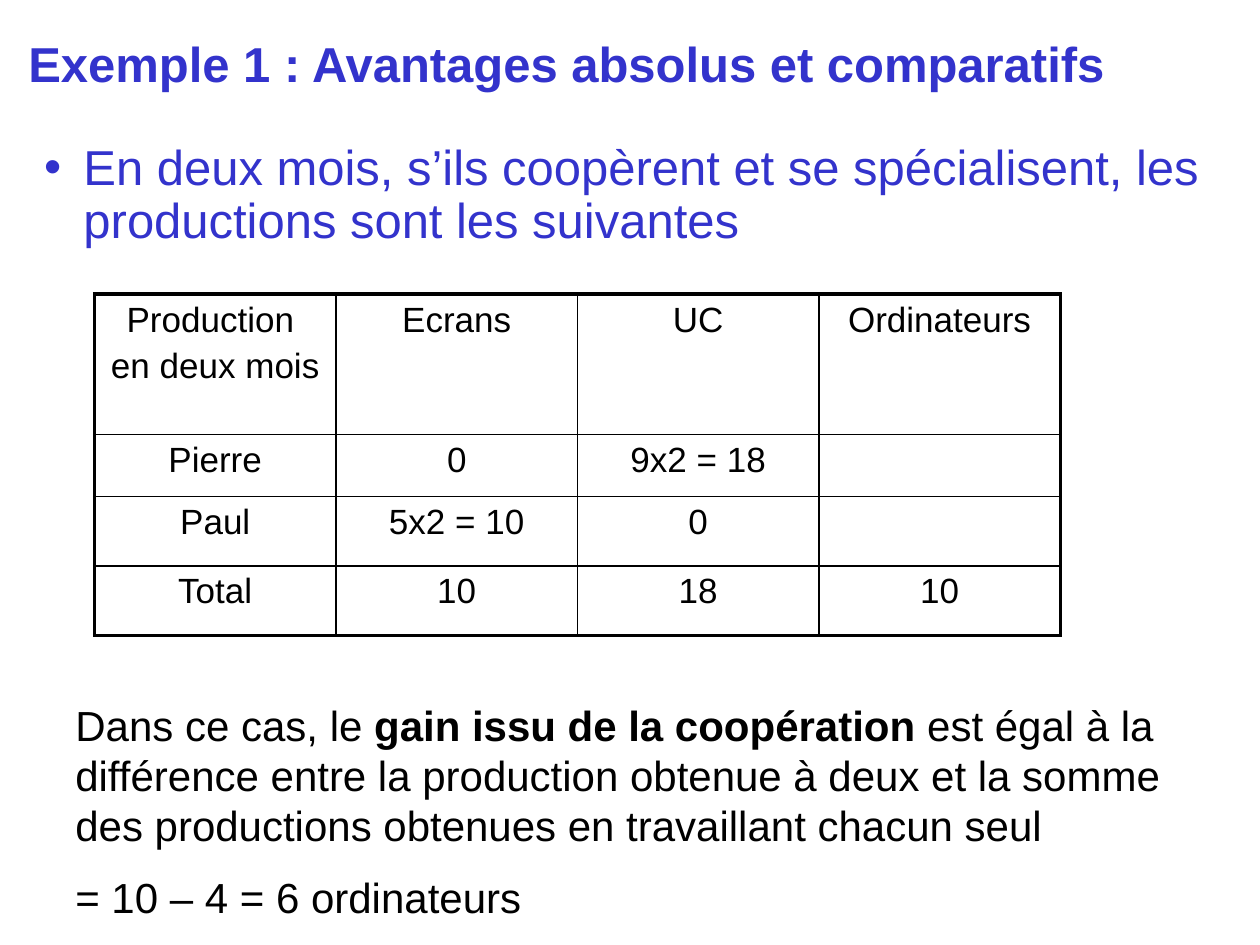
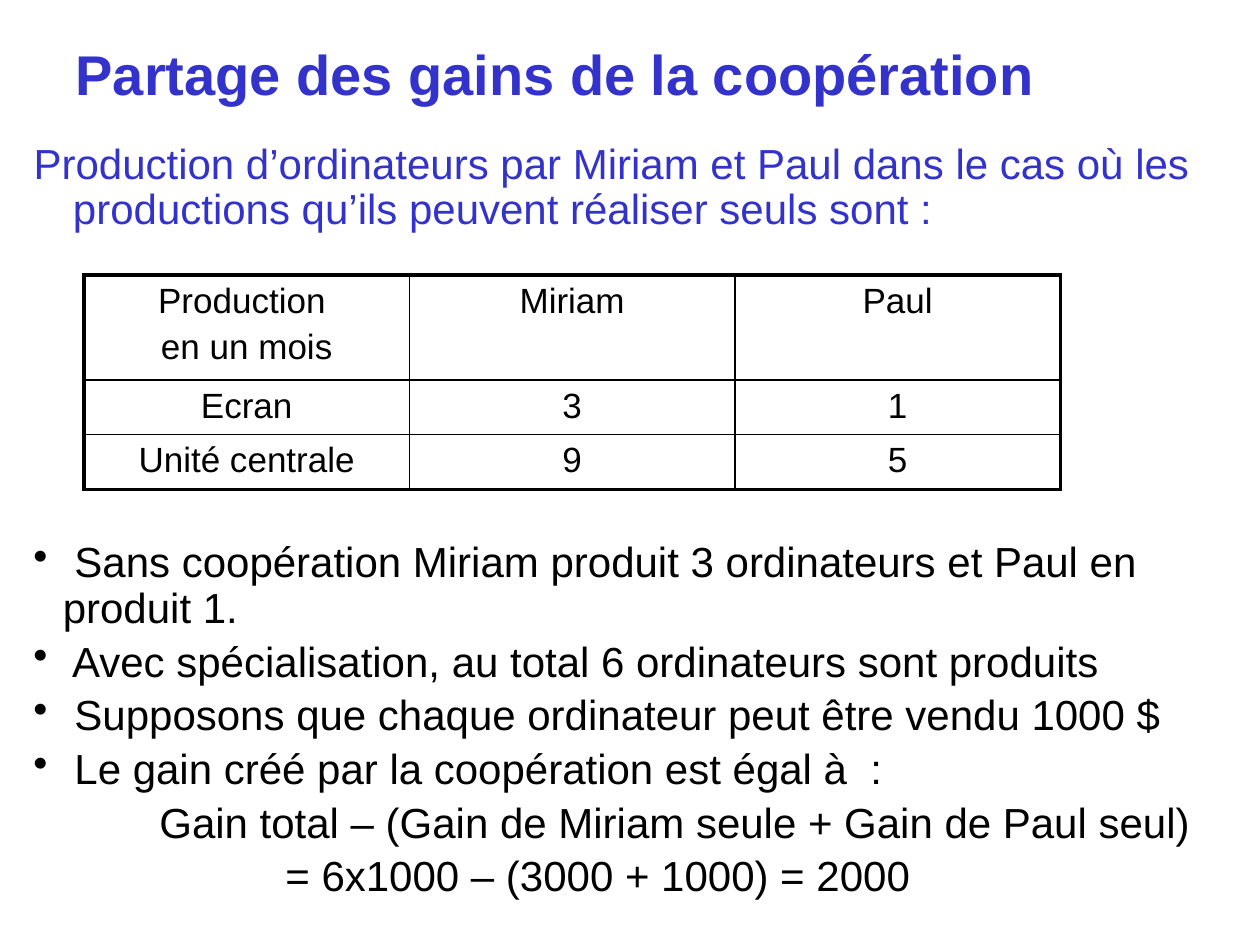
import pptx
import pptx.util
import pptx.dml.color
import pptx.enum.text
import pptx.oxml.ns
import lxml.etree

COLORS = {"heading": "3333CC", "text": "000000", "border": "000000"}
FONT = "Arial"
COLUMNS, ROWS = 120, 90
UNIT = pptx.util.Inches(10) // COLUMNS
THIN, THICK = 1, 2.25
ALIGN = pptx.enum.text.PP_ALIGN


def units(count):
    return round(count * UNIT)


def place(shape, box):
    shape.left, shape.top, shape.width, shape.height = map(units, box)


def set_bullet(paragraph, bullet, margin, hanging):
    properties = paragraph._p.get_or_add_pPr()
    properties.set("marL", str(units(margin)))
    properties.set("indent", str(-units(hanging)))
    tag = "a:buChar" if bullet else "a:buNone"
    mark = lxml.etree.SubElement(properties, pptx.oxml.ns.qn(tag))
    if bullet:
        mark.set("char", bullet)


def write(frame, text, size=24, color="text", bold=False, align=ALIGN.LEFT,
          line=1.0, gap=0.2, bullet=None, margin=0, hanging=0):
    first = not frame.paragraphs[0].runs
    paragraph = frame.paragraphs[0] if first else frame.add_paragraph()
    paragraph.alignment = align
    paragraph.line_spacing = line
    paragraph.space_before = pptx.util.Pt(0 if first else size * gap)
    set_bullet(paragraph, bullet, margin, hanging)
    for index, part in enumerate(text.split("*")):
        run = paragraph.add_run()
        run.text = part
        run.font.name = FONT
        run.font.size = pptx.util.Pt(size)
        run.font.bold = bold or index % 2 == 1
        run.font.color.rgb = pptx.dml.color.RGBColor.from_string(COLORS[color])


def prepare(frame, anchor):
    frame.word_wrap = True
    frame.auto_size = pptx.enum.text.MSO_AUTO_SIZE.NONE
    frame.vertical_anchor = anchor


def add_heading(slide, box, text, size):
    heading = slide.shapes.title
    place(heading, box)
    prepare(heading.text_frame, pptx.enum.text.MSO_ANCHOR.MIDDLE)
    write(heading.text_frame, text, size=size, color="heading", bold=True)


def add_introduction(slide, box, text, size, bullet=None):
    introduction = slide.placeholders[1]
    place(introduction, box)
    prepare(introduction.text_frame, pptx.enum.text.MSO_ANCHOR.TOP)
    write(introduction.text_frame, text, size=size, color="heading",
          line=0.9, bullet=bullet, margin=3.75, hanging=3.75)


def add_remarks(slide, box, remarks, **shared):
    frame = slide.shapes.add_textbox(*map(units, box)).text_frame
    prepare(frame, pptx.enum.text.MSO_ANCHOR.TOP)
    for text, layout in remarks:
        write(frame, text, **shared, **layout)


def set_borders(cell, widths):
    properties = cell._tc.get_or_add_tcPr()
    for index, (side, width) in enumerate(widths.items()):
        border = lxml.etree.Element(pptx.oxml.ns.qn("a:ln" + side),
                                    w=str(pptx.util.Pt(width)))
        fill = lxml.etree.SubElement(border, pptx.oxml.ns.qn("a:solidFill"))
        lxml.etree.SubElement(fill, pptx.oxml.ns.qn("a:srgbClr"),
                              val=COLORS["border"])
        properties.insert(index, border)


def add_production_table(slide, box, heights, content):
    last_row, last_column = len(content) - 1, len(content[0]) - 1
    table = slide.shapes.add_table(last_row + 1, last_column + 1,
                                   *map(units, box)).table
    table.first_row = table.horz_banding = False
    for row, height in zip(table.rows, heights):
        row.height = units(height)
    for row, values in enumerate(content):
        for column, value in enumerate(values):
            cell = table.cell(row, column)
            cell.fill.background()
            set_borders(cell, {
                "L": THICK if column == 0 else THIN,
                "R": THICK if column == last_column else THIN,
                "T": THICK if row == 0 else THIN,
                "B": THICK if row == last_row else THIN,
            })
            for text in value.split("\n") if value else []:
                write(cell.text_frame, text, size=20, align=ALIGN.CENTER)


def build_advantages(slide):
    add_heading(slide, (1.5, 1, 108, 10),
                "Exemple 1 : Avantages absolus et comparatifs", 28)
    add_introduction(slide, (3, 13, 115, 12),
                     "En deux mois, s’ils coopèrent et se spécialisent, "
                     "les productions sont les suivantes", 28, bullet="•")
    add_production_table(slide, (9, 28, 92, 32.6), (13.4, 5.9, 6.6, 6.6), [
        ["Production \nen deux mois", "Ecrans", "UC", "Ordinateurs"],
        ["Pierre", "0", "9x2 = 18", ""],
        ["Paul", "5x2 = 10", "0", ""],
        ["Total", "10", "18", "10"],
    ])
    add_remarks(slide, (6, 66, 108, 23), [
        ("Dans ce cas, le *gain issu de la coopération* est égal à la "
         "différence entre la production obtenue à deux et la somme des "
         "productions obtenues en travaillant chacun seul", {}),
        ("= 10 – 4 = 6 ordinateurs", {}),
    ], gap=0.5)


def build_sharing(slide):
    add_heading(slide, (6, 2, 108, 10), "Partage des gains de la coopération", 32)
    add_introduction(slide, (2, 13, 115, 9.8),
                     "Production d’ordinateurs par Miriam et Paul dans le cas où "
                     "les productions qu’ils peuvent réaliser seuls sont :", 24)
    add_production_table(slide, (8, 26.2, 93, 20.4), (10, 5.2, 5.2), [
        ["Production \nen un mois", "Miriam", "Paul"],
        ["Ecran", "3", "1"],
        ["Unité centrale", "9", "5"],
    ])
    point = {"bullet": "•", "margin": 2.8, "hanging": 2.8}
    add_remarks(slide, (2, 51, 116, 36.7), [
        (" Sans coopération Miriam produit 3 ordinateurs et Paul en produit 1.", point),
        (" Avec spécialisation, au total 6 ordinateurs sont produits", point),
        (" Supposons que chaque ordinateur peut être vendu 1000 $", point),
        (" Le gain créé par la coopération est égal à  :", point),
        ("Gain total – (Gain de Miriam seule + Gain de Paul seul)", {"margin": 12}),
        ("= 6x1000 – (3000 + 1000) = 2000", {"margin": 24}),
    ], line=0.9)


def main():
    presentation = pptx.Presentation()
    presentation.slide_width = units(COLUMNS)
    presentation.slide_height = units(ROWS)
    for build in (build_advantages, build_sharing):
        build(presentation.slides.add_slide(presentation.slide_layouts[1]))
    presentation.save("out.pptx")


if __name__ == "__main__":
    main()
